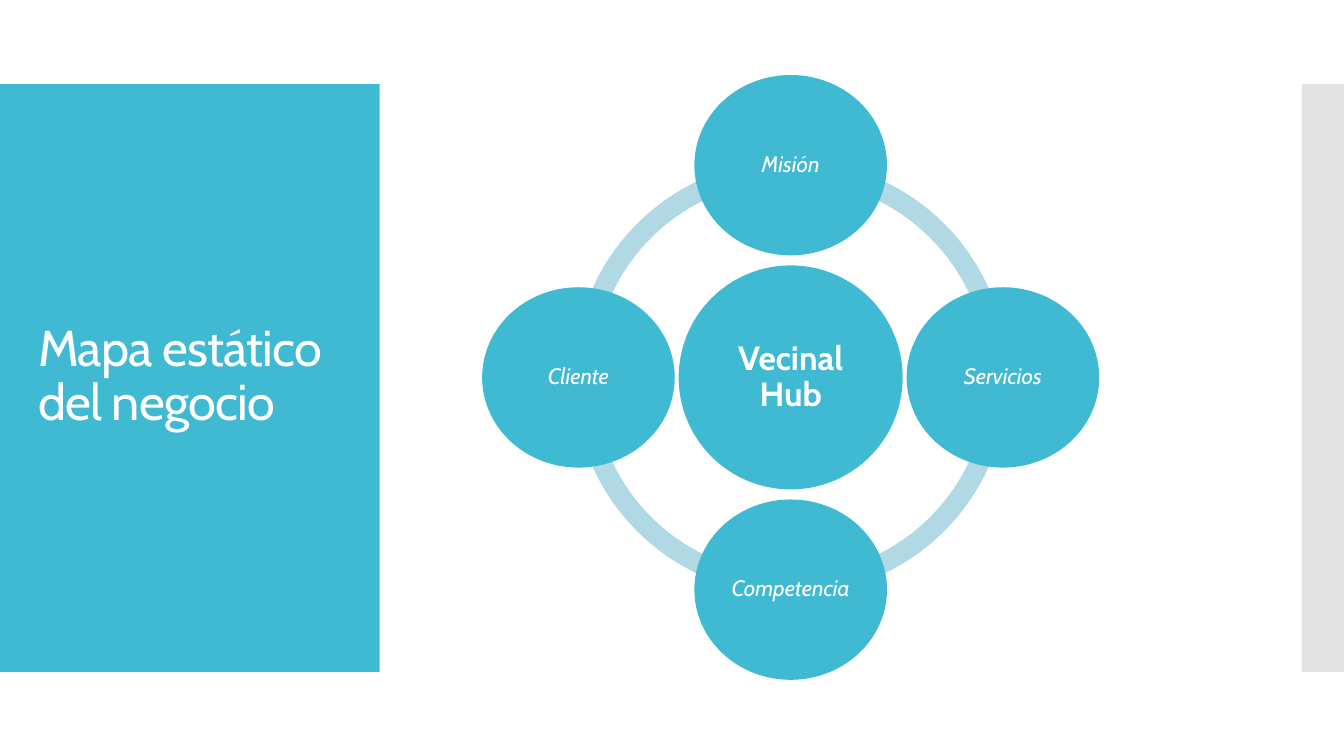
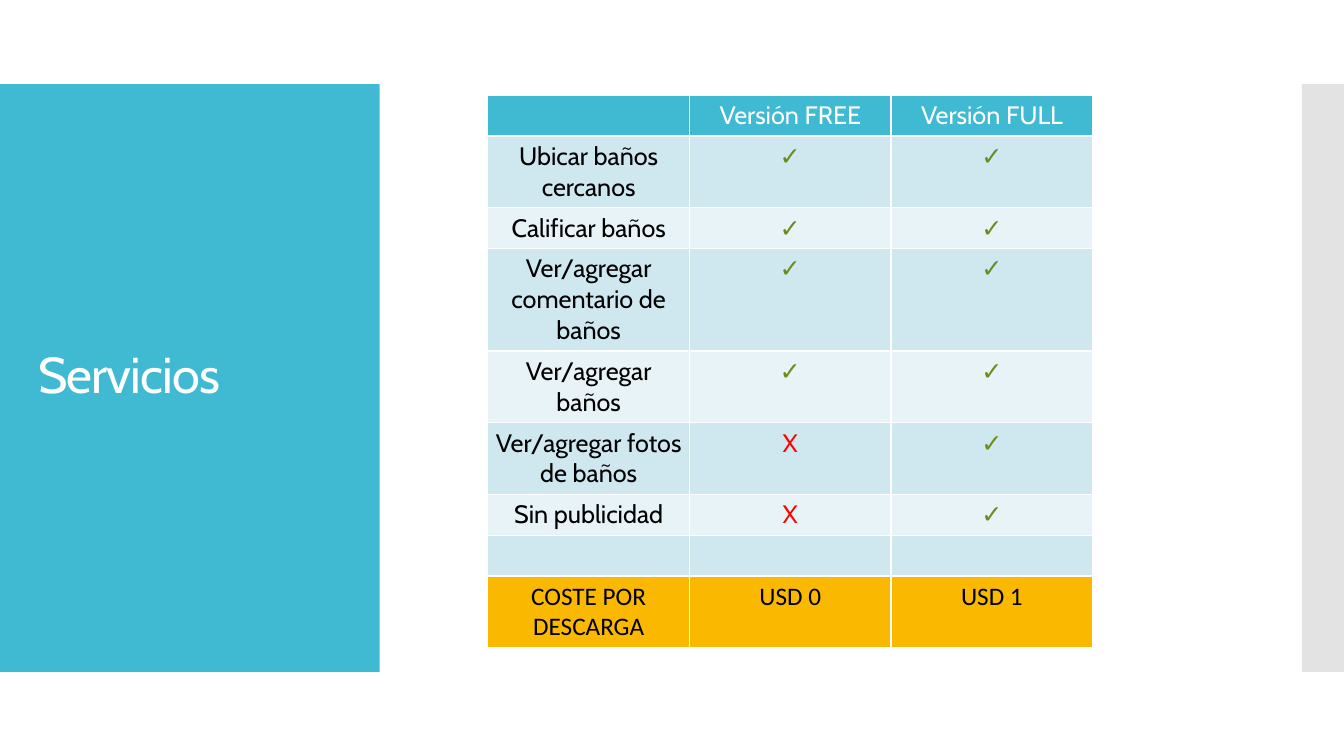
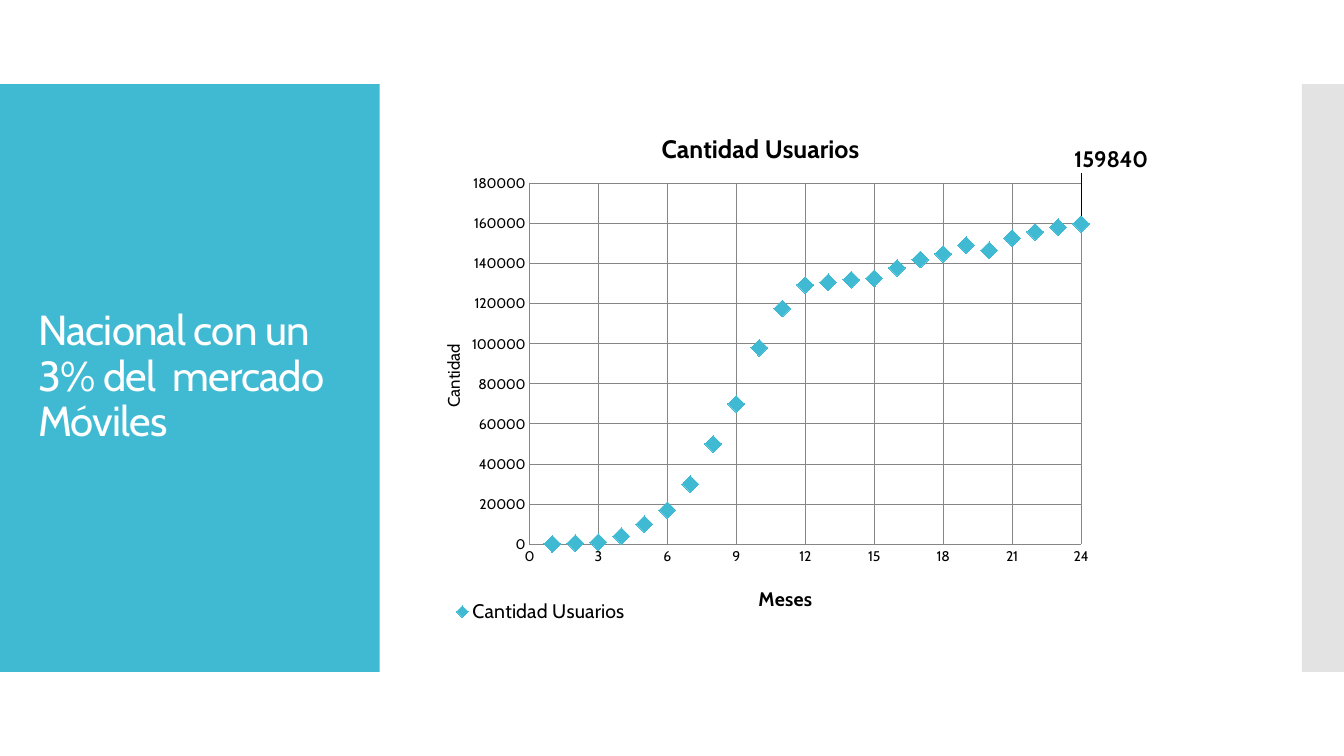
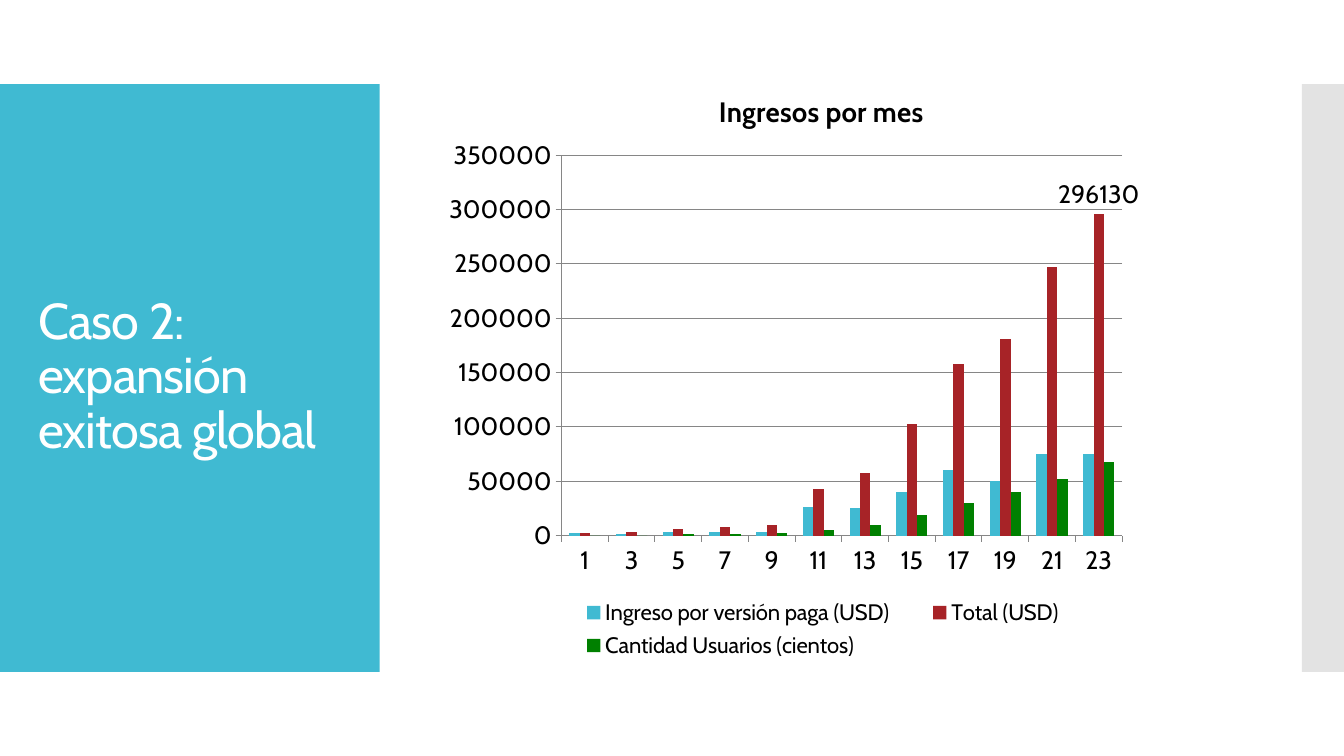
from lxml import etree
from pptx import Presentation
from pptx.chart.data import CategoryChartData, XyChartData
from pptx.dml.color import RGBColor
from pptx.enum.chart import (XL_CHART_TYPE, XL_LABEL_POSITION, XL_LEGEND_POSITION,
                             XL_MARKER_STYLE, XL_TICK_MARK)
from pptx.enum.shapes import MSO_SHAPE
from pptx.enum.text import MSO_ANCHOR, MSO_AUTO_SIZE, PP_ALIGN
from pptx.oxml.ns import qn
from pptx.util import Pt

RECT, OVAL, ARC = MSO_SHAPE.RECTANGLE, MSO_SHAPE.OVAL, MSO_SHAPE.BLOCK_ARC
LEFT, CENTER, MIDDLE = PP_ALIGN.LEFT, PP_ALIGN.CENTER, MSO_ANCHOR.MIDDLE
NONE, OUT = XL_TICK_MARK.NONE, XL_TICK_MARK.OUTSIDE
FONT = "Cabin"
COLORS = {
    "teal": "40BAD2", "gray": "E3E3E3", "ring": "B0D9E5", "white": "FFFFFF",
    "black": "000000", "dark": "CFE7EE", "light": "E8F3F7", "gold": "FAB900",
    "olive": "6C8C1A", "red": "FF0000", "wine": "A72327", "green": "008000",
    "grid": "868686",
}

# Content
BANDS = [((0, 60, 271.2, 420), "teal"), ((930, 60, 30, 420), "gray")]
TITLE_BOX = (20, 88.6, 232, 362)

HUB = "Vecinal Hub"
NODES = [("Misión", 0, -1), ("Servicios", 1, 0), ("Competencia", 0, 1), ("Cliente", -1, 0)]

ROWS = [
    ("", "Versión FREE", "Versión FULL"),
    ("Ubicar baños cercanos", "✓", "✓"),
    ("Calificar baños", "✓", "✓"),
    ("Ver/agregar comentario de baños", "✓", "✓"),
    ("Ver/agregar baños", "✓", "✓"),
    ("Ver/agregar fotos de baños", "X", "✓"),
    ("Sin publicidad", "X", "✓"),
    ("", "", ""),
    ("COSTE POR DESCARGA", "USD 0", "USD 1"),
]
MARKS = {"✓": "olive", "X": "red"}

USERS = [100, 500, 1000, 4000, 10000, 17000, 30000, 50000, 70000, 98000, 117600, 129360,
         130654, 131960, 132620, 137925, 142062, 144904, 149251, 146641, 152751, 155868,
         158242, 159840]

MONTHS = [str(m) for m in range(1, 24, 2)]
INCOME = [
    ("Ingreso por versión paga (USD)", "teal",
     [2000, 1000, 3000, 3000, 3000, 26000, 25000, 40000, 60000, 50000, 75000, 75000]),
    ("Total (USD)", "wine",
     [2655, 2916, 5832, 7566, 9686, 42851, 57760, 102244, 158280, 181040, 246990, 296130]),
    ("Cantidad Usuarios (cientos)", "green",
     [0, 0, 1000, 1000, 2000, 5000, 10000, 19000, 30000, 40000, 52000, 68000]),
]


def rgb(name):
    return RGBColor.from_string(COLORS[name])


def box(*nums):
    return [Pt(n) for n in nums]


def style(font, size, color="black", bold=False, italic=False, face=FONT):
    font.name, font.size, font.bold, font.italic = face, Pt(size), bold, italic
    font.color.rgb = rgb(color)


def draw(shapes, kind, place, color):
    shape = shapes.add_shape(kind, *box(*place))
    shape.shadow.inherit = False
    shape.fill.solid()
    shape.fill.fore_color.rgb = rgb(color)
    shape.line.fill.background()
    return shape


def set_up(deck):
    """Give the layout that all slides share its title place."""
    layout = deck.slide_layouts[5]
    title = layout.placeholders[0]
    title.left, title.top, title.width, title.height = box(*TITLE_BOX)
    return layout


def add_bands(slide, layout):
    """Draw the bands and move them to the back of the layout."""
    for n, (place, color) in enumerate(BANDS):
        band = draw(slide.shapes, RECT, place, color)
        layout.shapes.element.insert(2 + n, band.element)


def add_page(deck, layout, text, size):
    slide = deck.slides.add_slide(layout)
    frame = slide.shapes.title.text_frame
    frame.auto_size, frame.word_wrap = MSO_AUTO_SIZE.NONE, True
    frame.vertical_anchor = MIDDLE
    para = frame.paragraphs[0]
    para.alignment, para.line_spacing = LEFT, 0.9
    for n, line in enumerate(text.split("\n")):
        if n:
            para.add_line_break()
        run = para.add_run()
        run.text = line
        style(run.font, size, "white")
    for props in slide.shapes.title.element.iter(qn("a:rPr")):
        props.set("spc", "-60")
    return slide


def add_disc(shapes, mid, dims, text, **look):
    (x, y), (w, h) = mid, dims
    disc = draw(shapes, OVAL, (x - w / 2, y - h / 2, w, h), "teal")
    frame = disc.text_frame
    frame.margin_left = frame.margin_right = Pt(2)
    frame.margin_top = frame.margin_bottom = Pt(2)
    frame.word_wrap, frame.vertical_anchor = True, MIDDLE
    para = frame.paragraphs[0]
    para.alignment, para.line_spacing = CENTER, 0.9
    run = para.add_run()
    run.text = text
    style(run.font, color="white", **look)


def add_map(slide):
    x, y, ring, orbit = 564.8, 269.6, 310.4, 151.6
    for turn in (180, 90, 0, 270):
        arc = draw(slide.shapes, ARC, (x - ring / 2, y - ring / 2, ring, ring), "ring")
        ends = (turn * 0.6, (turn + 90) % 360 * 0.6, 0.046)
        for n, value in enumerate(ends):
            arc.adjustments[n] = value
    add_disc(slide.shapes, (x, y), (160, 160), HUB, size=24, bold=True)
    for text, dx, dy in NODES:
        add_disc(slide.shapes, (x + dx * orbit, y + dy * orbit), (137.6, 128.8), text,
                 size=16, italic=True)


def add_edges(cell):
    """Draw a thin white line on the four sides of a cell."""
    props = cell._tc.get_or_add_tcPr()
    for side in ("a:lnL", "a:lnR", "a:lnT", "a:lnB"):
        line = etree.SubElement(props, qn(side), w=str(Pt(1)))
        fill = etree.SubElement(line, qn("a:solidFill"))
        etree.SubElement(fill, qn("a:srgbClr"), val=COLORS["white"])


def add_grid(slide):
    high = 29.2
    frame = slide.shapes.add_table(len(ROWS), 3, *box(348.5, 68, 432, high * len(ROWS)))
    table = frame.table
    table.first_row = table.horz_banding = False
    last = len(ROWS) - 1
    fills = {0: "teal", last: "gold"}
    for r, row in enumerate(ROWS):
        table.rows[r].height = Pt(high)
        for c, text in enumerate(row):
            cell = table.cell(r, c)
            add_edges(cell)
            cell.fill.solid()
            cell.fill.fore_color.rgb = rgb(fills.get(r, "dark" if r % 2 else "light"))
            cell.margin_left = cell.margin_right = Pt(5)
            para = cell.text_frame.paragraphs[0]
            para.alignment = CENTER
            if text:
                run = para.add_run()
                run.text = text
                color = MARKS.get(text, "black" if r else "white")
                style(run.font, 18, color, face="Calibri" if r == last else FONT)


def arrange(node, x, y, w=None, h=None, edge=True):
    """Give a chart part a manual place, in fractions of the chart."""
    for old in node.findall(qn("c:layout")):
        node.remove(old)
    layout = etree.Element(qn("c:layout"))
    manual = etree.SubElement(layout, qn("c:manualLayout"))
    items = []
    if node.tag == qn("c:plotArea"):
        items.append(("layoutTarget", "inner"))
    if edge:
        items += [("xMode", "edge"), ("yMode", "edge")]
    items += [("x", x), ("y", y)]
    if w:
        items += [("w", w), ("h", h)]
    for tag, value in items:
        etree.SubElement(manual, qn("c:" + tag), val=str(value))
    over, index = node.find(qn("c:overlay")), node.find(qn("c:idx"))
    if over is not None:
        over.addprevious(layout)
    elif index is not None:
        index.addnext(layout)
    else:
        node.insert(0, layout)


def part(chart, tag):
    return next(chart.element.iter(qn(tag)))


def add_title(owner, text, size, x, y, bold=True):
    run = owner.text_frame.paragraphs[0].add_run()
    run.text = text
    style(run.font, size, bold=bold)
    arrange(owner.element, x, y)


def add_plot(slide, kind, place, data, size, plot, legend, keys, top, tick):
    chart = slide.shapes.add_chart(kind, *box(*place), data).chart
    style(chart.font, size)
    chart.has_title = chart.has_legend = True
    chart.legend.position = XL_LEGEND_POSITION.BOTTOM
    chart.legend.include_in_layout = False
    style(chart.legend.font, keys)
    arrange(part(chart, "c:legend"), *legend)
    arrange(part(chart, "c:plotArea"), *plot)
    chart.plots[0].vary_by_categories = False
    chart.value_axis.minimum_scale, chart.value_axis.maximum_scale = 0, top
    chart.value_axis.has_major_gridlines = True
    for axis in (chart.category_axis, chart.value_axis):
        axis.major_tick_mark, axis.minor_tick_mark = tick, NONE
        lines = [axis.format.line]
        if axis.has_major_gridlines:
            lines.append(axis.major_gridlines.format.line)
        for line in lines:
            line.color.rgb = rgb("grid")
            line.width = Pt(0.75)
    return chart


def add_users(slide):
    data = XyChartData()
    dots = data.add_series("Cantidad Usuarios")
    for month, count in enumerate(USERS, 1):
        dots.add_data_point(month, count)
    chart = add_plot(slide, XL_CHART_TYPE.XY_SCATTER, (281.5, 71.3, 538.6, 391), data, 10,
                     (0.18, 0.153, 0.734, 0.659), (0.08, 0.91, 0.23, 0.05), 14, 180000, NONE)
    months, counts = chart.category_axis, chart.value_axis
    months.minimum_scale, months.maximum_scale, months.major_unit = 0, 24, 3
    months.has_major_gridlines = True
    months.major_gridlines.format.line.color.rgb = rgb("grid")
    counts.major_unit = 20000
    add_title(chart.chart_title, "Cantidad Usuarios", 18, 0.35, 0.05)
    add_title(months.axis_title, "Meses", 14, 0.48, 0.88)
    add_title(counts.axis_title, "Cantidad", 12, 0.06, 0.44, bold=False)
    body = next(counts.axis_title.element.iter(qn("a:bodyPr")))
    body.set("rot", "-5400000")
    body.set("vert", "horz")
    series = chart.plots[0].series[0]
    series.format.line.fill.background()
    mark = series.marker
    mark.style, mark.size = XL_MARKER_STYLE.DIAMOND, 12
    mark.format.fill.solid()
    mark.format.fill.fore_color.rgb = rgb("teal")
    mark.format.line.fill.background()
    label = series.points[len(USERS) - 1].data_label
    style(label.font, 16, bold=True)
    label.position = XL_LABEL_POSITION.ABOVE
    arrange(part(chart, "c:dLbl"), 0.04, -0.07, edge=False)


def add_income(slide):
    data = CategoryChartData()
    data.categories = MONTHS
    for name, _, values in INCOME:
        data.add_series(name, values)
    chart = add_plot(slide, XL_CHART_TYPE.COLUMN_CLUSTERED, (321, 49, 493, 430.5), data, 18,
                     (0.156, 0.144, 0.824, 0.631), (0.14, 0.87, 0.8, 0.12), 16, 350000, OUT)
    chart.value_axis.major_unit = 50000
    add_title(chart.chart_title, "Ingresos por mes", 20, 0.38, 0.03)
    plot = chart.plots[0]
    plot.gap_width, plot.overlap = 150, 0
    for series, (_, color, _) in zip(plot.series, INCOME):
        series.format.fill.solid()
        series.format.fill.fore_color.rgb = rgb(color)
    label = plot.series[1].points[len(MONTHS) - 1].data_label
    style(label.font, 18)
    label.position = XL_LABEL_POSITION.OUTSIDE_END


PAGES = [
    ("Mapa estático del negocio", 36, add_map),
    ("Servicios", 36, add_grid),
    ("Nacional con un 3% del  mercado\nMóviles", 30, add_users),
    ("Caso 2: expansión exitosa global", 36, add_income),
]


def main():
    deck = Presentation()
    deck.slide_width, deck.slide_height = box(960, 540)
    layout = set_up(deck)
    for n, (text, size, fill) in enumerate(PAGES):
        slide = add_page(deck, layout, text, size)
        if n == 0:
            add_bands(slide, layout)
        fill(slide)
    deck.save("out.pptx")


if __name__ == "__main__":
    main()
